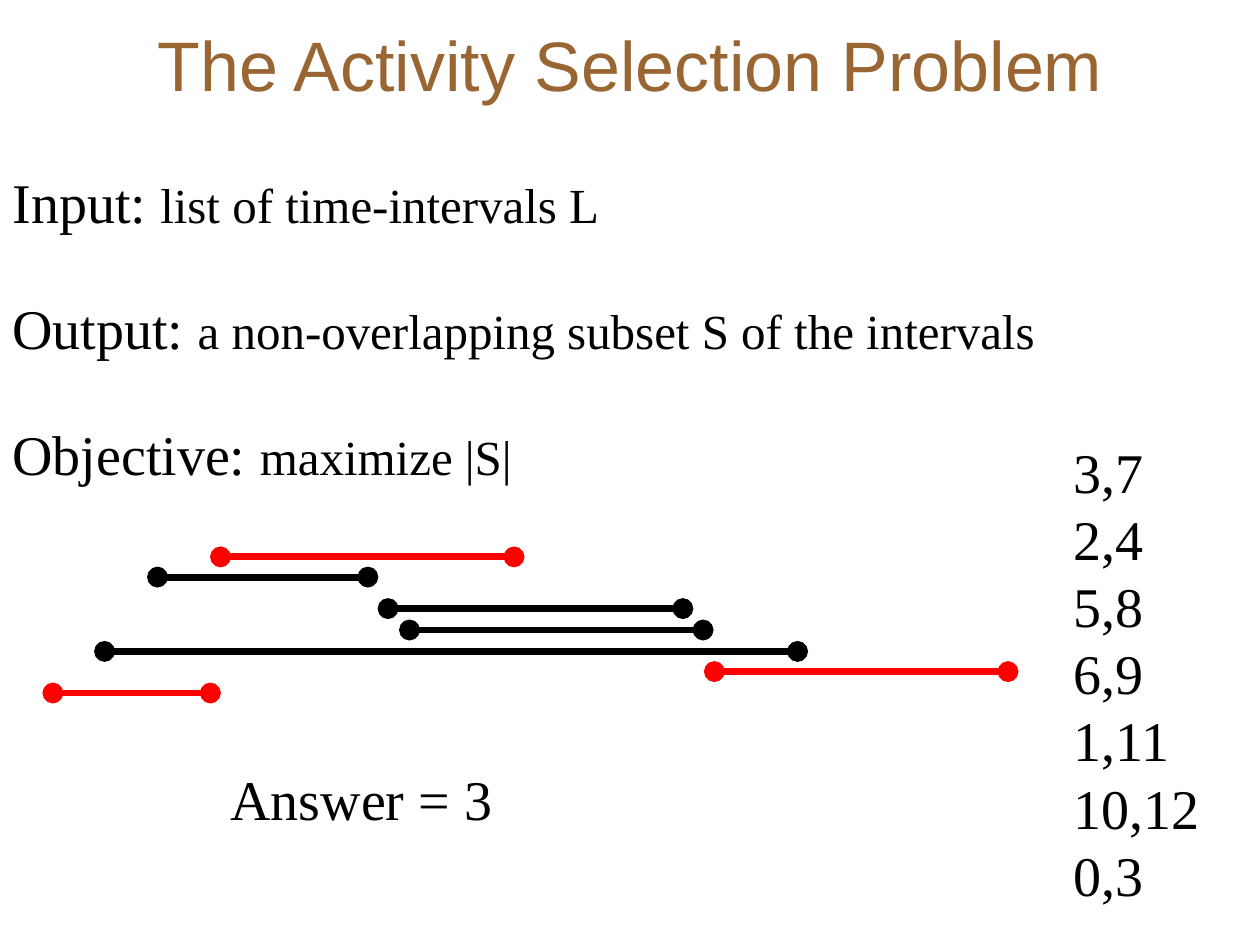
from typing import NamedTuple

from lxml.etree import SubElement
from pptx import Presentation
from pptx.dml.color import RGBColor
from pptx.enum.shapes import MSO_CONNECTOR
from pptx.enum.text import MSO_ANCHOR as ANCHOR, MSO_AUTO_SIZE as AUTO, PP_ALIGN as ALIGN
from pptx.oxml.ns import qn
from pptx.util import Inches, Pt

BLACK, RED, BROWN = "000000", "FF0000", "996633"
SERIF, SANS = "Times New Roman", "Arial"


class Activity(NamedTuple):
    label: str
    start: float
    end: float
    y: float
    color: str = BLACK


class Definition(NamedTuple):
    term: str
    meaning: str


ACTIVITIES = [
    Activity("3,7", 1.75, 4.08, 4.42, RED),
    Activity("2,4", 1.25, 2.92, 4.58),
    Activity("5,8", 3.08, 5.42, 4.83),
    Activity("6,9", 3.25, 5.58, 5),
    Activity("1,11", 0.83, 6.33, 5.17),
    Activity("10,12", 5.67, 8, 5.33, RED),
    Activity("0,3", 0.42, 1.67, 5.5, RED),
]
DEFINITIONS = [
    Definition("Input: ", "list of time-intervals L"),
    Definition("Output: ", "a non-overlapping subset S of the intervals"),
    Definition("Objective: ", "maximize |S|"),
]


def rgb(color: str) -> RGBColor:
    return RGBColor.from_string(color)


def add_box(slide, left: float, top: float, width: float, height: float,
            wrap: bool = True, anchor=ANCHOR.TOP, auto=AUTO.SHAPE_TO_FIT_TEXT):
    sp = slide.shapes.add_textbox(Inches(left), Inches(top), Inches(width), Inches(height))
    tf = sp.text_frame
    tf.word_wrap = wrap
    tf.vertical_anchor = anchor
    tf.auto_size = auto
    return tf


def add_paragraph(tf, first: bool, before: float = 0, leading=None, align=ALIGN.LEFT):
    p = tf.paragraphs[0] if first else tf.add_paragraph()
    p.alignment = align
    p.space_before = Pt(0 if first else before)
    if leading:
        p.line_spacing = Pt(leading)
    return p


def add_text(p, text: str, size: float = 32, font: str = SERIF, color: str = BLACK) -> None:
    r = p.add_run()
    r.text = text
    r.font.size = Pt(size)
    r.font.name = font
    r.font.color.rgb = rgb(color)


def add_interval(slide, activity: Activity) -> None:
    y = Inches(activity.y)
    line = slide.shapes.add_connector(
        MSO_CONNECTOR.STRAIGHT, Inches(activity.start), y, Inches(activity.end), y)
    line.line.color.rgb = rgb(activity.color)
    line.line.width = Pt(4)
    ln = line.line._get_or_add_ln()
    for end in ("a:headEnd", "a:tailEnd"):
        SubElement(ln, qn(end), type="oval")
    SubElement(line._element.spPr, qn("a:effectLst"))


def main() -> None:
    prs = Presentation()
    prs.slide_width, prs.slide_height = Inches(10), Inches(7.5)
    slide = prs.slides.add_slide(prs.slide_layouts[6])

    tf = add_box(slide, 0.75, 0.17, 8.5, 0.67, anchor=ANCHOR.MIDDLE, auto=AUTO.NONE)
    add_text(add_paragraph(tf, True, align=ALIGN.CENTER),
             "The Activity Selection Problem", size=40, font=SANS, color=BROWN)

    tf = add_box(slide, 0, 1.28, 8.32, 2.63)
    for i, definition in enumerate(DEFINITIONS):
        p = add_paragraph(tf, i == 0, before=33.6, leading=38.4)
        add_text(p, definition.term)
        add_text(p, definition.meaning, size=28)

    tf = add_box(slide, 8.42, 3.42, 1.2, 3.83, wrap=False)
    for i, activity in enumerate(ACTIVITIES):
        add_interval(slide, activity)
        add_text(add_paragraph(tf, i == 0, leading=38.4), activity.label)

    tf = add_box(slide, 1.73, 6.02, 2.28, 0.63, wrap=False)
    add_text(add_paragraph(tf, True, leading=38.4), "Answer = 3")

    prs.save("out.pptx")


if __name__ == "__main__":
    main()
